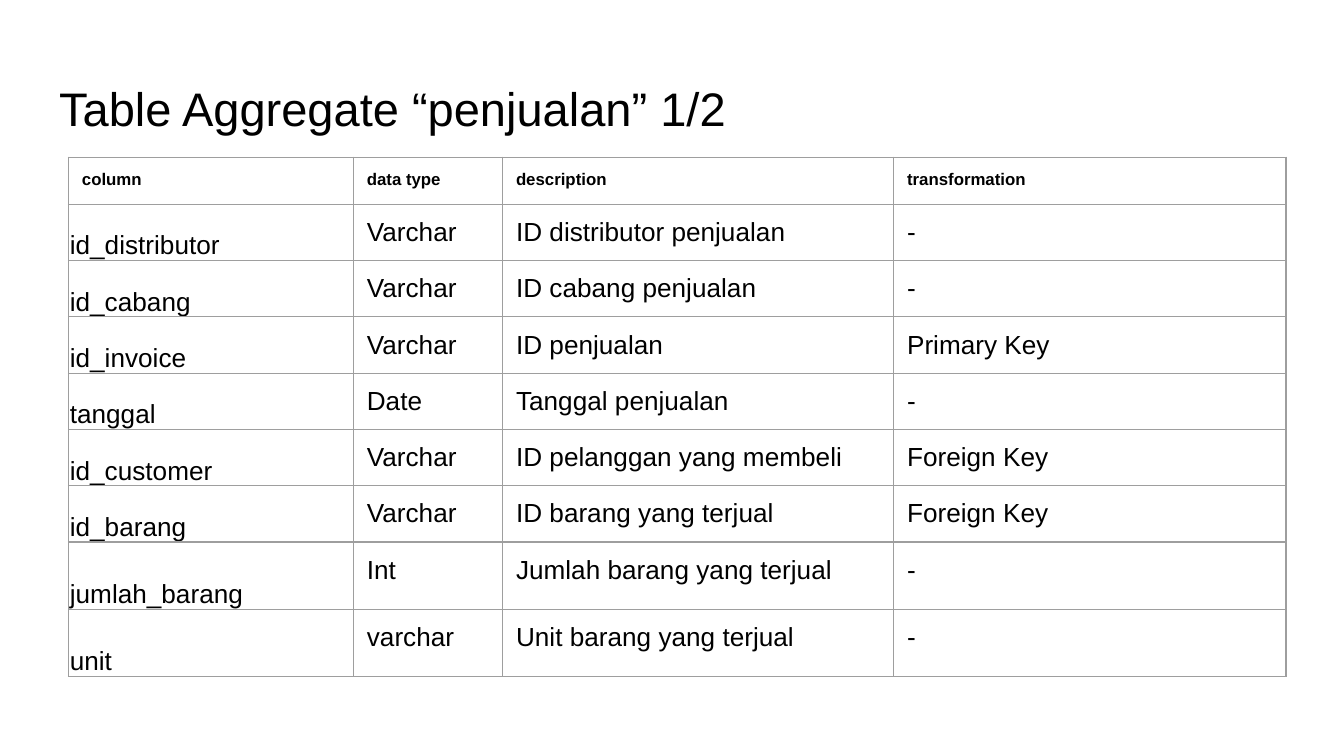
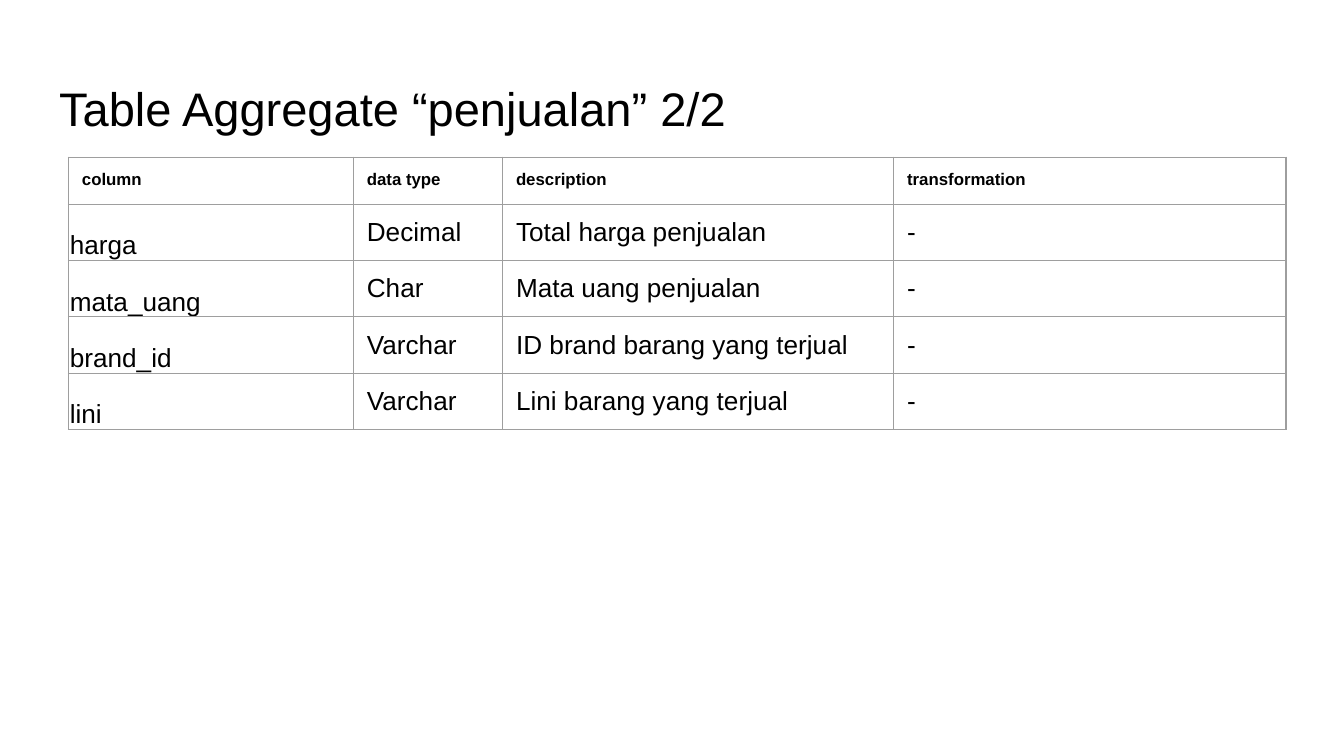
from lxml.etree import SubElement
from pptx import Presentation
from pptx.dml.color import RGBColor
from pptx.enum.text import MSO_ANCHOR as Anchor, MSO_AUTO_SIZE as AutoSize, PP_ALIGN as Align
from pptx.oxml.ns import qn
from pptx.util import Inches, Pt

COLORS = {"text": "000000", "border": "9E9E9E"}
FONT = "Arial"
BORDER_WIDTH = Pt(0.75)
PADDING = Inches(0.1)
COLUMN_WIDTHS = [2.12, 1.11, 2.91, 2.92]
ROW_HEIGHT, TALL_ROW_HEIGHT = 0.35, 0.5
HEADER = ("column", "data type", "description", "transformation")

# Rows of the aggregate table, one list per slide
PAGES = [
    [
        ("id_distributor", "Varchar", "ID distributor penjualan", "-"),
        ("id_cabang", "Varchar", "ID cabang penjualan", "-"),
        ("id_invoice", "Varchar", "ID penjualan", "Primary Key"),
        ("tanggal", "Date", "Tanggal penjualan", "-"),
        ("id_customer", "Varchar", "ID pelanggan yang membeli", "Foreign Key"),
        ("id_barang", "Varchar", "ID barang yang terjual", "Foreign Key"),
        ("jumlah_barang", "Int", "Jumlah barang yang terjual", "-"),
        ("unit", "varchar", "Unit barang yang terjual", "-"),
    ],
    [
        ("harga", "Decimal", "Total harga penjualan", "-"),
        ("mata_uang", "Char", "Mata uang penjualan", "-"),
        ("brand_id", "Varchar", "ID brand barang yang terjual", "-"),
        ("lini", "Varchar", "Lini barang yang terjual", "-"),
    ],
]
TALL_ROWS = {"jumlah_barang", "unit"}


def style_text(para, size, bold, align):
    para.alignment = align
    para.font.name = FONT
    para.font.size = Pt(size)
    para.font.bold = bold
    para.font.color.rgb = RGBColor.from_string(COLORS["text"])


def add_borders(cell):
    properties = cell._tc.get_or_add_tcPr()
    for side in ("a:lnL", "a:lnR", "a:lnT", "a:lnB"):
        line = SubElement(properties, qn(side), w=str(int(BORDER_WIDTH)))
        fill = SubElement(line, qn("a:solidFill"))
        SubElement(fill, qn("a:srgbClr"), val=COLORS["border"])


# Widescreen deck, 16:9
deck = Presentation()
deck.slide_width, deck.slide_height = Inches(10), Inches(10 * 9 / 16)

for number, records in enumerate(PAGES, start=1):
    page = deck.slides.add_slide(deck.slide_layouts[5])

    # Title
    title = page.shapes.title
    title.left, title.top = Inches(0.34), Inches(0.49)
    title.width, title.height = Inches(9.32), Inches(0.63)
    frame = title.text_frame
    frame.text = f"Table Aggregate “penjualan” {number}/{len(PAGES)}"
    frame.auto_size = AutoSize.NONE
    frame.word_wrap = True
    frame.vertical_anchor = Anchor.TOP
    frame.margin_left = frame.margin_right = PADDING
    frame.margin_top = frame.margin_bottom = PADDING
    style_text(frame.paragraphs[0], 25.2, False, Align.LEFT)

    # Table grid
    rows = [HEADER, *records]
    heights = [TALL_ROW_HEIGHT if row[0] in TALL_ROWS else ROW_HEIGHT for row in rows]
    table = page.shapes.add_table(
        len(rows), len(HEADER), Inches(0.51), Inches(1.17),
        Inches(sum(COLUMN_WIDTHS)), Inches(sum(heights))).table
    table.first_row = table.horz_banding = False
    for column, width in zip(table.columns, COLUMN_WIDTHS):
        column.width = Inches(width)
    for table_row, height in zip(table.rows, heights):
        table_row.height = Inches(height)

    # Table cells: names in the first column sit on the bottom border
    for row_index, row in enumerate(rows):
        for column_index, text in enumerate(row):
            cell = table.cell(row_index, column_index)
            cell.text = text
            is_header = row_index == 0
            is_name = column_index == 0 and not is_header
            margin = Inches(0.01) if is_name else PADDING
            cell.margin_left = cell.margin_right = cell.margin_top = margin
            cell.margin_bottom = 0 if is_name else PADDING
            cell.vertical_anchor = Anchor.BOTTOM if is_name else Anchor.TOP
            add_borders(cell)
            cell.fill.background()
            style_text(cell.text_frame.paragraphs[0], 9 if is_header else 14,
                       is_header, Align.LEFT if is_header else Align.JUSTIFY)

deck.save("out.pptx")
